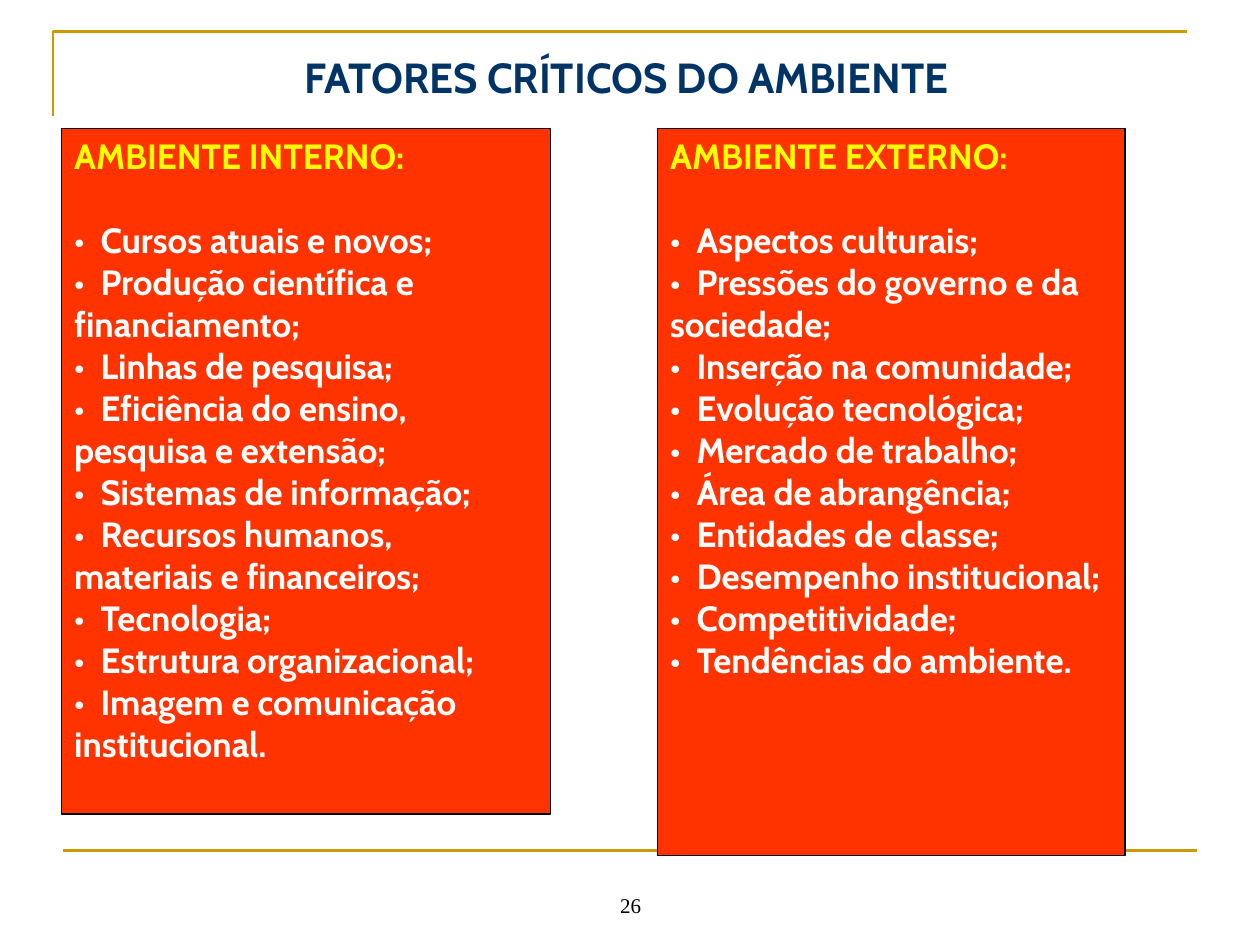
from dataclasses import dataclass

from lxml.etree import SubElement
from pptx import Presentation
from pptx.dml.color import RGBColor
from pptx.enum.shapes import MSO_CONNECTOR, MSO_SHAPE
from pptx.enum.text import MSO_ANCHOR, PP_ALIGN
from pptx.oxml.ns import qn
from pptx.util import Inches, Pt


@dataclass(frozen=True)
class Theme:
    gold: RGBColor = RGBColor(0xCC, 0x99, 0x00)
    navy: RGBColor = RGBColor(0x00, 0x33, 0x66)
    red: RGBColor = RGBColor(0xFF, 0x33, 0x00)
    yellow: RGBColor = RGBColor(0xFF, 0xFF, 0x00)
    white: RGBColor = RGBColor(0xFF, 0xFF, 0xFF)
    black: RGBColor = RGBColor(0, 0, 0)
    font: str = "Cabin"
    serif: str = "Times New Roman"
    title: int = 24
    body: int = 20
    small: int = 12
    rule: float = 1.5
    edge: float = 0.75


THEME = Theme()

INNER = [
    "Cursos atuais e novos;",
    "Produção científica e financiamento;",
    "Linhas de pesquisa;",
    "Eficiência do ensino, pesquisa e extensão;",
    "Sistemas de informação;",
    "Recursos humanos, materiais e financeiros;",
    "Tecnologia;",
    "Estrutura organizacional;",
    "Imagem e comunicação institucional.",
]
OUTER = [
    "Aspectos culturais;",
    "Pressões do governo e da sociedade;",
    "Inserção na comunidade;",
    "Evolução tecnológica;",
    "Mercado de trabalho;",
    "Área de abrangência;",
    "Entidades de classe;",
    "Desempenho institucional;",
    "Competitividade;",
    "Tendências do ambiente.",
]


def style(para, size, color, font=THEME.font, bold=True):
    for run in para.runs:
        run.font.size = Pt(size)
        run.font.name = font
        run.font.bold = bold
        run.font.color.rgb = color


def add_tab(para, pos):
    tabs = SubElement(para._p.get_or_add_pPr(), qn("a:tabLst"))
    SubElement(tabs, qn("a:tab"), pos=str(pos), algn="l")


def add_frame(slide, left, top, width, height):
    """Draw the corner rule at the top left and the rule at the foot."""
    pen = slide.shapes.build_freeform(left, top + Inches(0.67))
    pen.add_line_segments([(left, top), (left + width, top)], close=False)
    corner = pen.convert_to_shape()
    corner.shadow.inherit = False
    corner.fill.background()
    start, foot = left + Inches(0.08), top + height
    base = slide.shapes.add_connector(
        MSO_CONNECTOR.STRAIGHT, start, foot, start + width, foot)
    SubElement(base._element.spPr, qn("a:effectLst"))
    for part in (corner, base):
        part.line.color.rgb = THEME.gold
        part.line.width = Pt(THEME.rule)


def add_label(slide, text, left, top, width, height):
    """Add a one-line text box set on its bottom edge."""
    frame = slide.shapes.add_textbox(left, top, width, height).text_frame
    frame.word_wrap = True
    frame.vertical_anchor = MSO_ANCHOR.BOTTOM
    frame.text = text
    return frame


def add_title(slide, left, top, width, height):
    frame = add_label(slide, "FATORES CRÍTICOS DO AMBIENTE",
                      left, top, width, height)
    style(frame.paragraphs[0], THEME.title, THEME.navy)


def add_number(slide, left, top, width, height):
    para = add_label(slide, "26", left, top, width, height).paragraphs[0]
    para.alignment = PP_ALIGN.CENTER
    style(para, THEME.small, THEME.black, THEME.serif, False)


def add_panel(slide, head, items, left, top, width, height):
    box = slide.shapes.add_shape(MSO_SHAPE.RECTANGLE, left, top, width, height)
    box.shadow.inherit = False
    box.fill.solid()
    box.fill.fore_color.rgb = THEME.red
    box.line.color.rgb = THEME.black
    box.line.width = Pt(THEME.edge)
    frame = box.text_frame
    frame.word_wrap = True
    frame.vertical_anchor = MSO_ANCHOR.TOP
    frame.text = head
    first = frame.paragraphs[0]
    first.alignment = PP_ALIGN.LEFT
    style(first, THEME.body, THEME.yellow)
    for i, item in enumerate(items):
        para = frame.add_paragraph()
        # Wrapped lines return to the margin, so the mark is followed by a tab.
        para.text = f"•\t{item}"
        add_tab(para, Inches(0.21))
        para.alignment = PP_ALIGN.LEFT
        if i == 0:
            para.space_before = Pt(24)
        style(para, THEME.body, THEME.white)


def main():
    deck = Presentation()
    deck.slide_width, deck.slide_height = Inches(10), Inches(7.5)
    slide = deck.slides.add_slide(deck.slide_layouts[6])
    add_frame(slide, Inches(0.42), Inches(0.25), Inches(9), Inches(6.5))
    add_number(slide, Inches(3.42), Inches(6.83), Inches(3.17), Inches(0.5))
    add_title(slide, Inches(2.32), Inches(0.52), Inches(6.09), Inches(0.34))
    top = Inches(1.02)
    add_panel(slide, "AMBIENTE INTERNO:", INNER,
              Inches(0.49), top, Inches(3.88), Inches(5.44))
    add_panel(slide, "AMBIENTE EXTERNO:", OUTER,
              Inches(5.22), top, Inches(3.71), Inches(5.77))
    deck.save("out.pptx")


if __name__ == "__main__":
    main()
